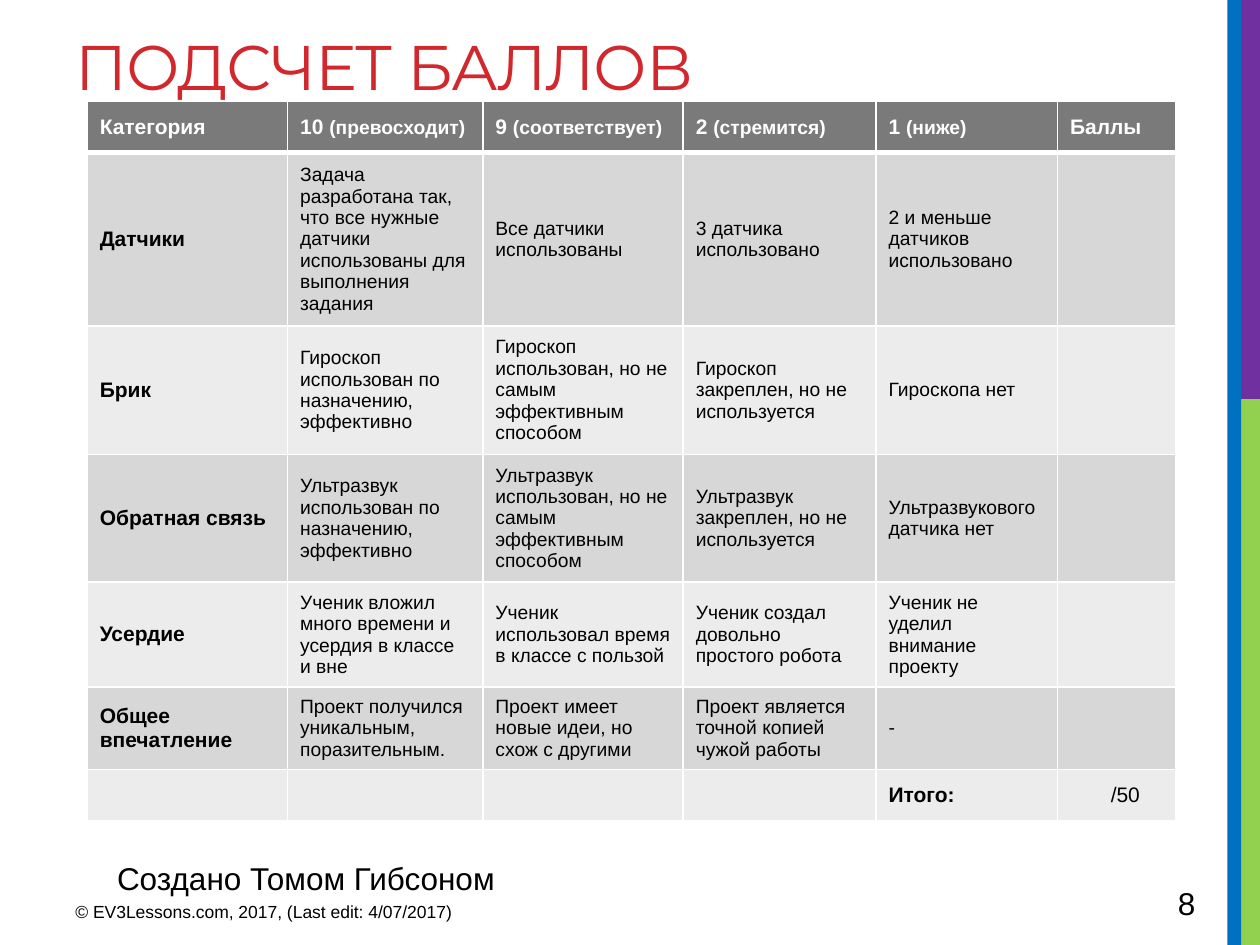
from lxml import etree
from pptx import Presentation
from pptx import util as u
from pptx.dml.color import RGBColor
from pptx.enum import shapes, text
from pptx.oxml import ns

RED = RGBColor(0xD1, 0x28, 0x2E)
BLUE = RGBColor(0x00, 0x70, 0xC0)
GREEN = RGBColor(0x92, 0xD0, 0x50)
PURPLE = RGBColor(0x70, 0x30, 0xA0)
BLACK = RGBColor(0, 0, 0)
WHITE = RGBColor(0xFF, 0xFF, 0xFF)
HEADER_GRAY = RGBColor(0x7A, 0x7A, 0x7A)
BAND_GRAYS = RGBColor(0xD7, 0xD7, 0xD7), RGBColor(0xEC, 0xEC, 0xEC)

CATEGORY = {"name": "Arial", "size": u.Pt(12), "bold": True}
LEVEL = {"name": "Arial", "size": u.Pt(11), "bold": False}
LEVEL_NAME = {"name": "Arial", "size": u.Pt(11), "bold": True}
TOTAL = {"name": "Arial", "size": u.Pt(12), "bold": False}
TITLE = {"name": "Montserrat", "size": u.Pt(36), "bold": False}
CREDIT = {"name": "Arial", "size": u.Pt(18)}
COPYRIGHT = {"name": "Arial", "size": u.Pt(10)}

COLUMN_WIDTHS = [114.5, 111.6, 114.5, 110.2, 103.7, 67.7]
ROW_HEIGHTS = [29.5, 99, 73.5, 73, 60, 47, 29.5]

# Header cells: grade, then its meaning in smaller type
HEADER = [
    ("Категория", ""),
    ("10 ", "(превосходит)"),
    ("9 ", "(соответствует)"),
    ("2 ", "(стремится)"),
    ("1 ", "(ниже)"),
    ("Баллы", ""),
]
CRITERIA = [
    ("Датчики",
     "Задача разработана так, что все нужные датчики использованы для выполнения задания",
     "Все датчики использованы",
     "3 датчика использовано",
     "2 и меньше датчиков использовано"),
    ("Брик",
     "Гироскоп использован по назначению, эффективно",
     "Гироскоп использован, но не самым эффективным способом",
     "Гироскоп закреплен, но не используется",
     "Гироскопа нет"),
    ("Обратная связь",
     "Ультразвук использован по назначению, эффективно",
     "Ультразвук использован, но не самым эффективным способом",
     "Ультразвук закреплен, но не используется",
     "Ультразвукового датчика нет"),
    ("Усердие",
     "Ученик вложил много времени и усердия в классе и вне",
     "Ученик использовал время в классе с пользой",
     "Ученик создал довольно простого робота",
     "Ученик не уделил внимание проекту"),
    ("Общее впечатление",
     "Проект получился уникальным, поразительным.",
     "Проект имеет новые идеи, но схож с другими",
     "Проект является точной копией чужой работы",
     "-"),
]


def set_values(target, values):
    for name, value in values.items():
        setattr(target, name, value)


def add_run(paragraph, words, font_values, color):
    run = paragraph.add_run()
    run.text = words
    set_values(run.font, font_values)
    run.font.color.rgb = color
    return run


def add_bar(slide, left, top, width, height, color):
    bar = slide.shapes.add_shape(
        shapes.MSO_SHAPE.RECTANGLE, *map(u.Pt, (left, top, width, height)))
    bar.shadow.inherit = False
    bar.fill.solid()
    bar.fill.fore_color.rgb = color
    bar.line.fill.background()


def add_label(slide, words, left, top, width, height, font_values, wrap=True):
    label = slide.shapes.add_textbox(*map(u.Pt, (left, top, width, height)))
    label.text_frame.word_wrap = wrap
    add_run(label.text_frame.paragraphs[0], words, font_values, BLACK)


def format_title(title):
    set_values(title, {"left": u.Pt(36), "top": u.Pt(12.2),
                       "width": u.Pt(649.4), "height": u.Pt(108)})
    set_values(title.text_frame, {
        "vertical_anchor": text.MSO_ANCHOR.TOP,
        "auto_size": text.MSO_AUTO_SIZE.NONE, "word_wrap": True})
    paragraph = title.text_frame.paragraphs[0]
    paragraph.alignment = text.PP_ALIGN.LEFT
    run = add_run(paragraph, "ПОДСЧЕТ БАЛЛОВ", TITLE, RED)
    run.font._element.set("spc", "-60")


def set_borders(cell, top, bottom):
    properties = cell._tc.get_or_add_tcPr()
    for side, width in (("L", 1), ("R", 1), ("T", top), ("B", bottom)):
        line = etree.SubElement(
            properties, ns.qn(f"a:ln{side}"), w=str(u.Pt(width)))
        fill = etree.SubElement(line, ns.qn("a:solidFill"))
        etree.SubElement(fill, ns.qn("a:srgbClr"), val=str(WHITE))


def format_cell(cell, row):
    cell.vertical_anchor = text.MSO_ANCHOR.MIDDLE
    # A thick line parts the header from the body
    set_borders(cell, top=3 if row == 1 else 1, bottom=3 if row == 0 else 1)
    cell.fill.solid()
    cell.fill.fore_color.rgb = BAND_GRAYS[(row - 1) % 2] if row else HEADER_GRAY


def write_cell(cell, words, font_values, color=BLACK):
    add_run(cell.text_frame.paragraphs[0], words, font_values, color)


def add_score_table(slide):
    table = slide.shapes.add_table(
        len(ROW_HEIGHTS), len(COLUMN_WIDTHS), u.Pt(49.8), u.Pt(57.7),
        u.Pt(sum(COLUMN_WIDTHS)), u.Pt(sum(ROW_HEIGHTS))).table
    table.horz_banding = False
    for column, width in zip(table.columns, COLUMN_WIDTHS):
        column.width = u.Pt(width)
    for index, (row, height) in enumerate(zip(table.rows, ROW_HEIGHTS)):
        row.height = u.Pt(height)
        for cell in row.cells:
            format_cell(cell, index)

    # Header row
    for column, (grade, meaning) in enumerate(HEADER):
        cell = table.cell(0, column)
        write_cell(cell, grade, CATEGORY, WHITE)
        if meaning:
            write_cell(cell, meaning, LEVEL_NAME, WHITE)

    # One row for each criterion
    for row, criterion in enumerate(CRITERIA, start=1):
        for column, words in enumerate(criterion):
            write_cell(table.cell(row, column), words,
                       LEVEL if column else CATEGORY)

    # Total row, with space left to write the score
    total_row = len(ROW_HEIGHTS) - 1
    write_cell(table.cell(total_row, 4), "Итого:", CATEGORY)
    total_score = table.cell(total_row, 5)
    total_score.margin_left = u.Pt(30.5)
    write_cell(total_score, "/50", TOTAL)


def main():
    deck = Presentation()
    deck.slide_width, deck.slide_height = u.Pt(720), u.Pt(540)
    slide = deck.slides.add_slide(deck.slide_layouts[5])

    # Coloured bars along the right edge
    add_bar(slide, 708.5, 228, 11.5, 312, GREEN)
    add_bar(slide, 705.6, 0, 14.4, 228, PURPLE)
    add_bar(slide, 701.3, 0, 7.9, 540, BLUE)

    # Title and score table
    format_title(slide.shapes.title)
    add_score_table(slide)

    # Footer
    add_label(slide, "© EV3Lessons.com, 2017, (Last edit: 4/07/2017)",
              36, 511.2, 270, 22.3, COPYRIGHT)
    add_label(slide, "8", 666, 501.8, 49.7, 28.8, CREDIT)
    add_label(slide, "Создано Томом Гибсоном",
              59.8, 487.4, 232.6, 28.8, CREDIT, wrap=False)

    deck.save("out.pptx")


if __name__ == "__main__":
    main()
